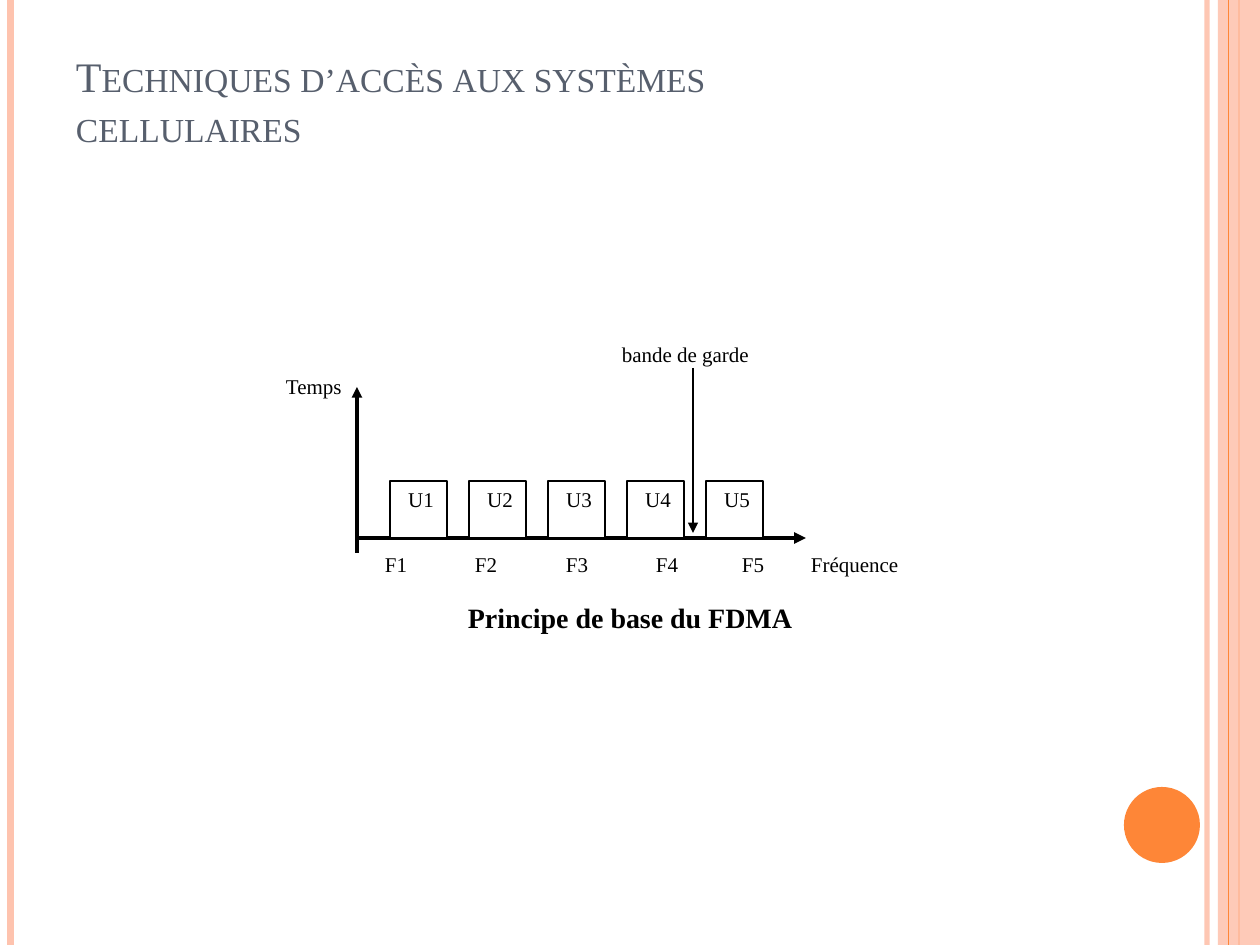
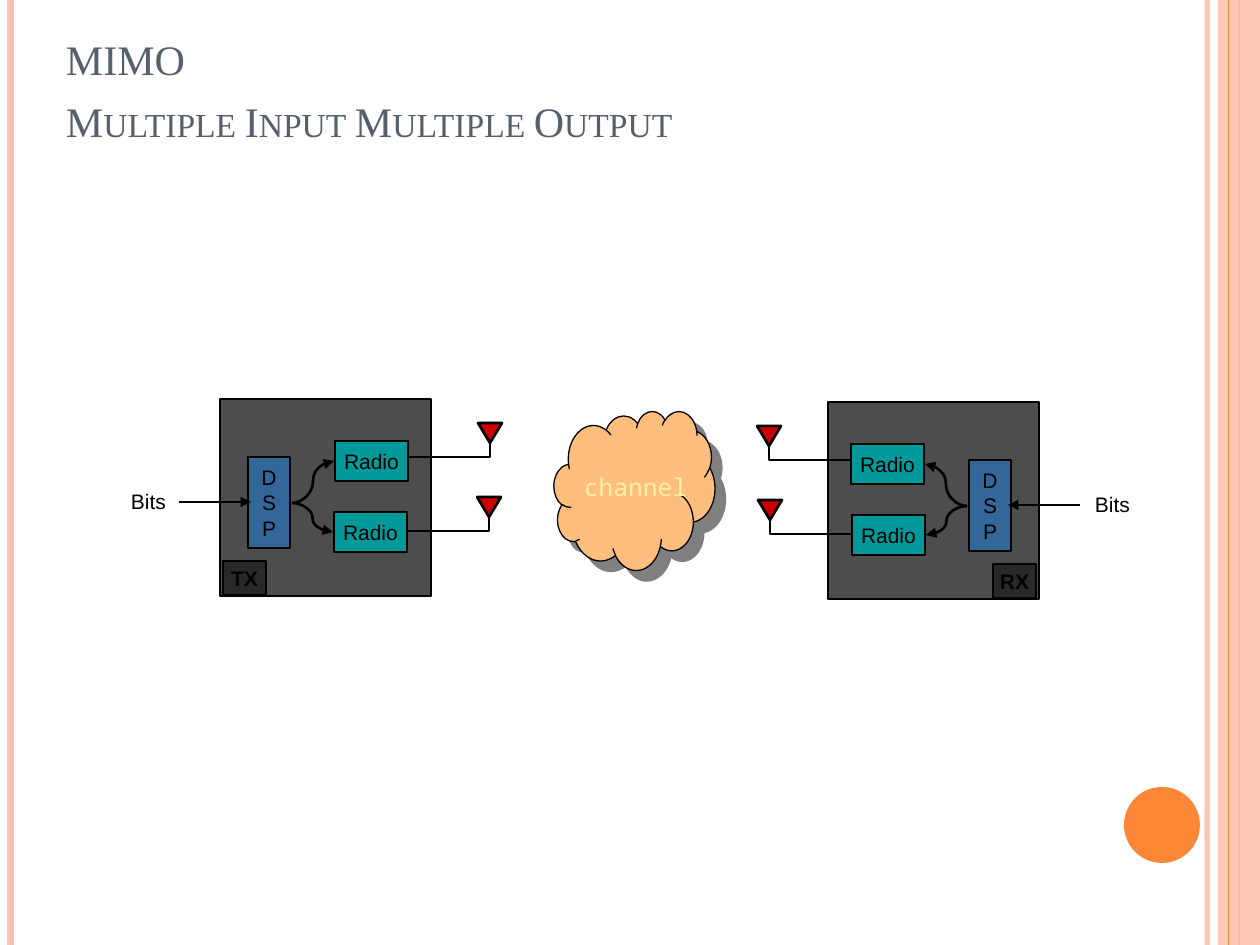
from lxml import etree
from pptx import Presentation
from pptx.dml.color import RGBColor
from pptx.enum.shapes import MSO_CONNECTOR, MSO_SHAPE
from pptx.enum.text import MSO_ANCHOR, MSO_AUTO_SIZE, PP_ALIGN
from pptx.oxml.ns import qn
from pptx.util import Pt

STRAIGHT, CURVE = MSO_CONNECTOR.STRAIGHT, MSO_CONNECTOR.CURVE
RECT, OVAL = MSO_SHAPE.RECTANGLE, MSO_SHAPE.OVAL
TRIANGLE, CLOUD = MSO_SHAPE.ISOSCELES_TRIANGLE, MSO_SHAPE.CLOUD
LEFT, CENTER, RIGHT = PP_ALIGN.LEFT, PP_ALIGN.CENTER, PP_ALIGN.RIGHT
TOP, MIDDLE = MSO_ANCHOR.TOP, MSO_ANCHOR.MIDDLE

EMU_PER_PX = 914400 / 126
WIDTH, HEIGHT = 1260, 945
MIRROR_SUM = 1259  # left edge of one station plus right edge of the other

COLORS = {
    "black": "000000", "white": "FFFFFF", "title": "575F6D",
    "peach": "FEC3AE", "orange": "FE8637", "cloud": "FFBE7D",
    "cloud_text": "FFF39D", "cloud_shadow": "808080", "antenna": "CC0000",
    "case": "4D4D4D", "chip": "292929", "radio": "009999", "dsp": "336699",
}
SERIF = {"name": "Times New Roman", "size": Pt(12)}
SANS = {"name": "Arial", "size": Pt(12)}
CAPTION = {"name": "Times New Roman", "size": Pt(16), "bold": True}
TITLE = {"name": "Times New Roman", "size": Pt(24), "bold": False}
CHANNEL = {"name": "Noto Sans Mono", "size": Pt(14)}
CHIP = {**SANS, "bold": True}
INSETS = (13, 6, 13, 6)
TIGHT = (0, 6, 0, 6)


def px(*lengths):
    return [round(length * EMU_PER_PX) for length in lengths]


def rgb(color):
    return RGBColor.from_string(COLORS[color])


def set_alpha(part, percent):
    for color in part.element.iter(qn("a:srgbClr")):
        etree.SubElement(color, qn("a:alpha"), val=str(percent * 1000))


def write(shape, text, style, color="black", align=LEFT, anchor=TOP,
          insets=INSETS):
    frame = shape.text_frame
    sides = ("margin_left", "margin_top", "margin_right", "margin_bottom")
    settings = dict(zip(sides, px(*insets)), word_wrap=True,
                    auto_size=MSO_AUTO_SIZE.NONE, vertical_anchor=anchor)
    for name, value in settings.items():
        setattr(frame, name, value)
    frame.text = text
    for paragraph in frame.paragraphs:
        paragraph.alignment = align
        for run in paragraph.runs:
            for name, value in style.items():
                setattr(run.font, name, value)
            run.font.color.rgb = rgb(color)
    return frame


def add_label(slide, box, text, style, **options):
    return write(slide.shapes.add_textbox(*px(*box)), text, style, **options)


def add_block(slide, kind, box, fill, line_width=None):
    block = slide.shapes.add_shape(kind, *px(*box))
    block.shadow.inherit = False
    block.fill.solid()
    block.fill.fore_color.rgb = rgb(fill)
    if line_width:
        block.line.color.rgb = rgb("black")
        block.line.width = Pt(line_width)
    else:
        block.line.fill.background()
    return block


def add_line(slide, start, end, width, color="black", kind=STRAIGHT,
             arrow=False):
    line = slide.shapes.add_connector(kind, *px(*start, *end))
    line.line.color.rgb = rgb(color)
    line.line.width = Pt(width)
    properties = line.element.spPr
    if arrow:
        etree.SubElement(properties.find(qn("a:ln")), qn("a:tailEnd"),
                         type="triangle")
    etree.SubElement(properties, qn("a:effectLst"))
    return line


def add_polyline(slide, points, width):
    builder = slide.shapes.build_freeform(*px(*points[0]))
    builder.add_line_segments([px(*point) for point in points[1:]],
                              close=False)
    outline = builder.convert_to_shape()
    outline.shadow.inherit = False
    outline.fill.background()
    outline.line.color.rgb = rgb("black")
    outline.line.width = Pt(width)


def add_hard_shadow(shape, color, distance):
    effects = shape.element.spPr.find(qn("a:effectLst"))
    shadow = etree.SubElement(effects, qn("a:outerShdw"), dist=str(Pt(distance)),
                              dir="2700000", algn="ctr", rotWithShape="0")
    etree.SubElement(shadow, qn("a:srgbClr"), val=COLORS[color])


def add_tab_stops(frame, stops):
    properties = frame.paragraphs[0]._p.get_or_add_pPr()
    tabs = etree.SubElement(properties, qn("a:tabLst"))
    for stop in px(*stops):
        etree.SubElement(tabs, qn("a:tab"), pos=str(stop), algn="l")


def decorate_layout(prs, layout):
    """Draw the side bands and the disc once, then hand them to the layout."""
    for placeholder in list(layout.placeholders)[1:]:
        placeholder.element.getparent().remove(placeholder.element)
    draft = prs.slides.add_slide(layout)

    def band(x, width, color):
        return add_line(draft, (x, 0), (x, HEIGHT), width, color)

    outer = band(1207, 3, "peach")
    set_alpha(outer, 93)
    left = band(10.5, 4.5, "peach")
    covered = band(1239, 1.5, "orange")
    margin = add_block(draft, RECT, (1218, 0, 42, HEIGHT), "peach")
    set_alpha(margin, 87)
    thin = band(1228.5, 0.75, "orange")
    disc = add_block(draft, OVAL, (1124, 787, 76, 76), "orange")
    for part in (outer, left, covered, margin, thin, disc):
        layout.shapes.element.append(part.element)
    return draft


def set_title(slide, box, text, line_gap=0):
    title = slide.shapes.title
    title.left, title.top, title.width, title.height = px(*box)
    frame = write(title, text, TITLE, "title", insets=(13, 12, 13, 6))
    for paragraph in frame.paragraphs:
        for run in paragraph.runs:
            run._r.get_or_add_rPr().set("cap", "small")
    for paragraph in frame.paragraphs[1:]:
        paragraph.space_before = Pt(line_gap)


def draw_fdma(slide):
    # Frequency axis, user slots, time axis
    add_line(slide, (357, 538), (806, 538), 2.25, arrow=True)
    for number in range(1, 6):
        slot = add_block(slide, RECT, (311 + 79 * number, 481, 57, 57),
                         "white", 0.75)
        write(slot, f"U{number}", SERIF, align=CENTER, insets=(5, 6, 0, 6))
    add_line(slide, (357, 553), (357, 387), 2, arrow=True)

    # Guard band pointer
    add_line(slide, (693, 368), (693, 533), 0.75, arrow=True)

    # Labels and caption
    frequencies = add_label(slide, (357, 546, 630, 38),
                            "F1\tF2\tF3\tF4\tF5\tFréquence", SERIF,
                            insets=(28, 6, 13, 6))
    add_tab_stops(frequencies, (90, 181, 271, 357, 426))
    add_label(slide, (386, 595, 496, 47), "Principe de base du FDMA", CAPTION,
              align=CENTER, insets=(13, 6, 21, 6))
    add_label(slide, (273, 368, 157, 38), "Temps", SERIF)
    add_label(slide, (609, 336, 165, 38), "bande de garde", SERIF)


def draw_channel(slide):
    cloud = add_block(slide, CLOUD, (554, 411, 161, 159), "cloud", 0.75)
    add_hard_shadow(cloud, "cloud_shadow", 8.5)
    add_label(slide, (571, 466, 132, 42), "channel", CHANNEL,
              color="cloud_text")


def draw_station(slide, name, mirrored=False):
    """Draw a transmitter, or the receiver as its mirror image."""
    drop = 3 if mirrored else 0

    def box(x, y, width, height):
        left = MIRROR_SUM - x - width if mirrored else x
        return left, y + drop, width, height

    def point(x, y):
        return MIRROR_SUM - x if mirrored else x, y + drop

    # Case with its processor and name plate
    add_block(slide, RECT, box(220, 399, 211, 197), "case", 1.5)
    processor = add_block(slide, RECT, box(248, 457, 42, 91), "dsp", 1.5)
    write(processor, "D\nS\nP", SANS, align=CENTER, anchor=MIDDLE,
          insets=TIGHT)
    plate = add_block(slide, RECT, box(223, 561, 43, 34), "chip", 0.75)
    write(plate, name, CHIP, align=CENTER, anchor=MIDDLE, insets=(5, 4, 5, 4))

    # Two radio chains: left and top of the radio, height of its feed line
    for left, top, feed in ((335, 441, 457), (334, 512, 531)):
        radio = add_block(slide, RECT, box(left, top, 73, 40), "radio", 1.5)
        write(radio, "Radio", SANS, align=CENTER, anchor=MIDDLE, insets=TIGHT)
        add_line(slide, point(292, 503), point(left - 1, top + 20), 1.5,
                 kind=CURVE, arrow=True)
        mast = left + 155
        add_polyline(slide, [point(left + 73, feed), point(mast, feed),
                             point(mast, feed - 13)], 1.5)
        antenna = add_block(slide, TRIANGLE,
                            box(mast - 12, feed - 34, 24, 20), "antenna", 1.5)
        antenna.rotation = 180

    # Bit stream
    add_label(slide, box(116, 483, 63, 38), "Bits", SANS, align=RIGHT)
    add_line(slide, point(179, 502), point(251, 502), 1.5, arrow=True)


def main():
    prs = Presentation()
    prs.slide_width, prs.slide_height = px(WIDTH, HEIGHT)
    title_only = prs.slide_layouts[5]

    # FDMA
    fdma = decorate_layout(prs, title_only)
    set_title(fdma, (63, 38, 1029, 157),
              "Techniques d’accès aux systèmes\ncellulaires")
    draw_fdma(fdma)

    # MIMO
    mimo = prs.slides.add_slide(title_only)
    set_title(mimo, (53, 21, 1134, 158),
              "MIMO\nMultiple Input Multiple Output", line_gap=7)
    draw_channel(mimo)
    draw_station(mimo, "TX")
    draw_station(mimo, "RX", mirrored=True)

    prs.save("out.pptx")


if __name__ == "__main__":
    main()
